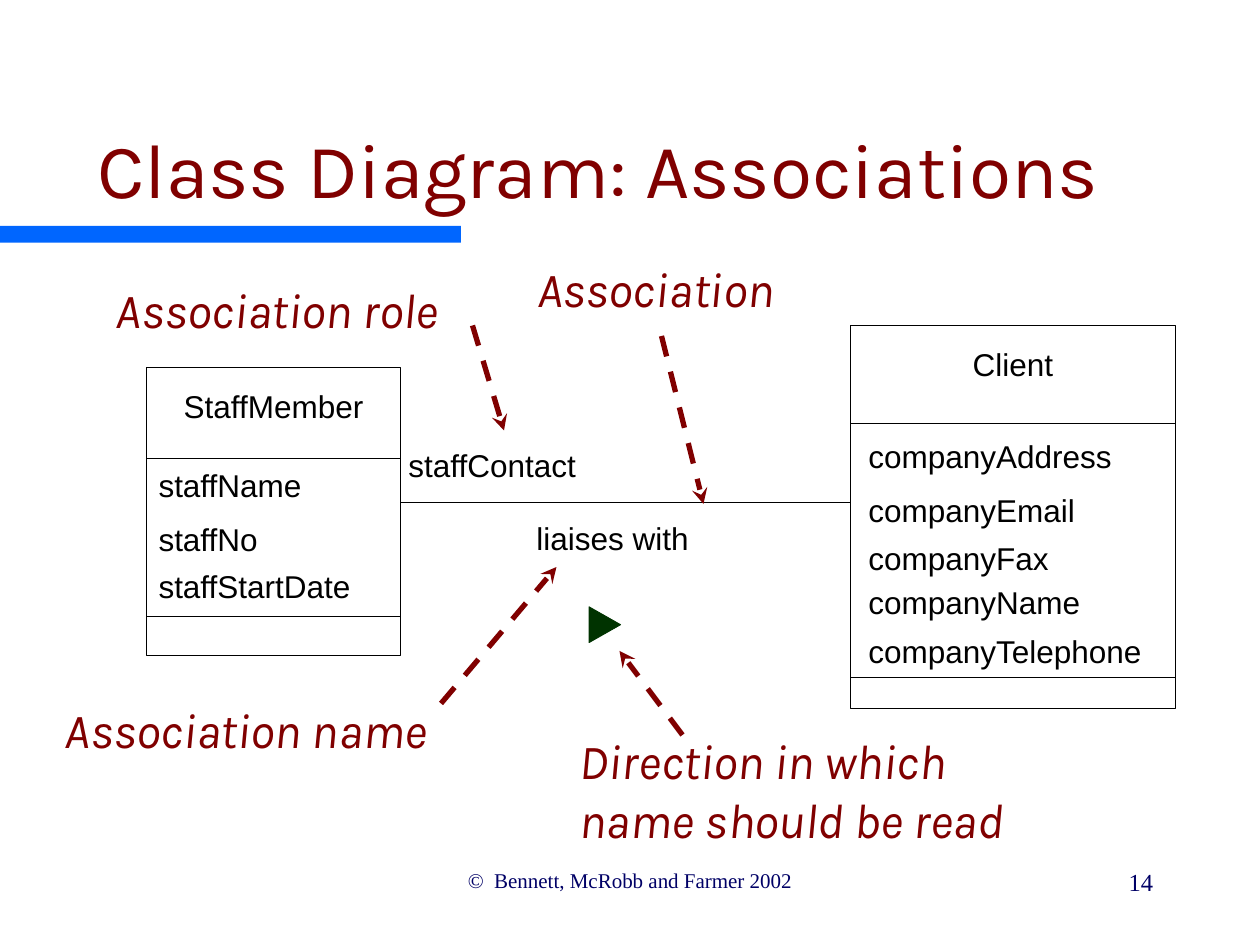
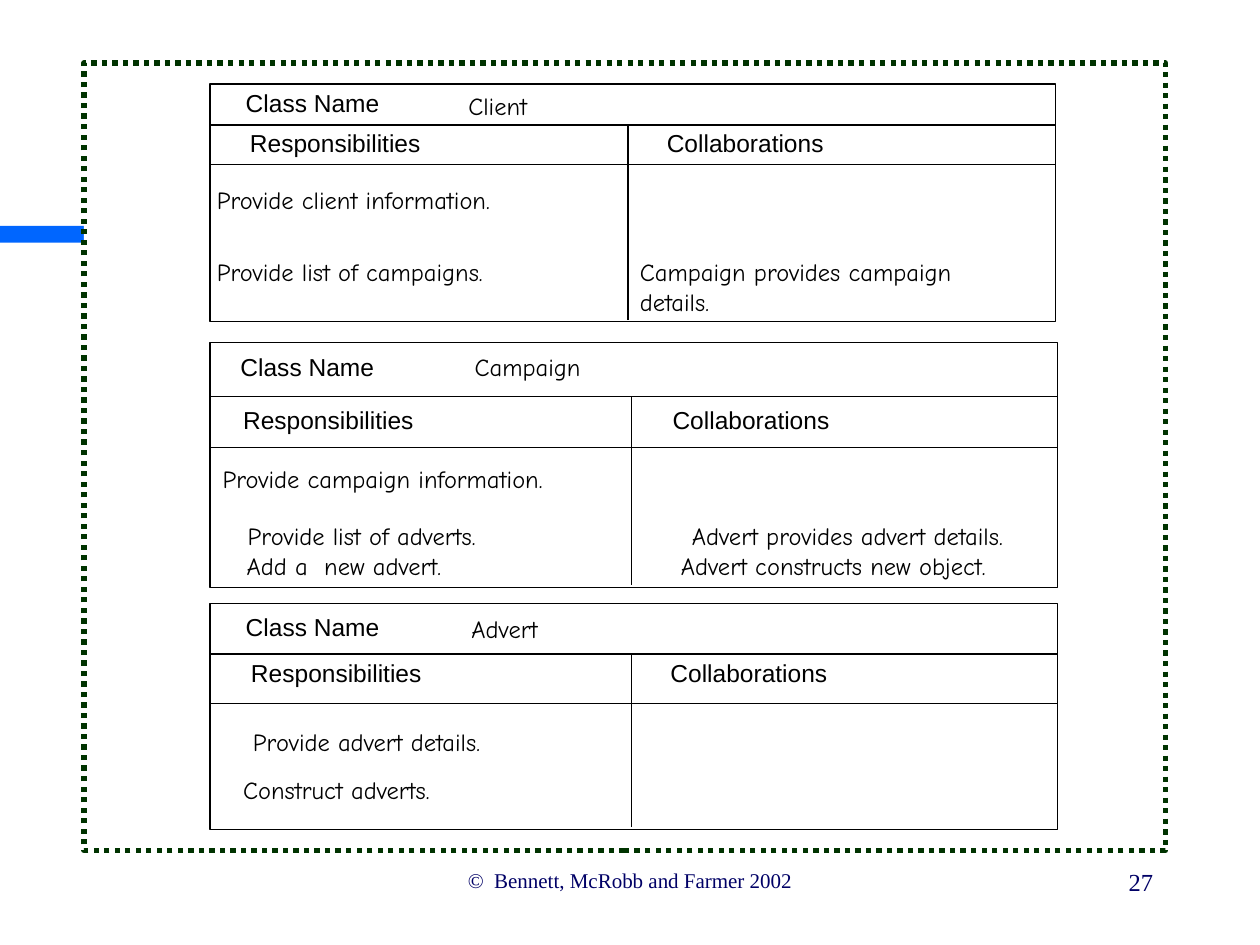
from lxml.etree import SubElement as Sub
from pptx import Presentation as Deck
from pptx.dml.color import RGBColor as Rgb
from pptx.enum.dml import MSO_LINE as Dash
from pptx.enum.shapes import MSO_CONNECTOR as Link, MSO_SHAPE as Form
from pptx.enum.text import MSO_ANCHOR as Hold, PP_ALIGN as Side
from pptx.oxml.ns import qn
from pptx.util import Inches, Pt

WIDE, HIGH = Inches(10), Inches(7.5)
COLS, ROWS = 120, 90
HUES = {"band": "0066FF", "foot": "000066", "title": "800000",
        "ink": "000000", "green": "003300", "paper": "FFFFFF"}
FONTS = {"title": "Karla", "foot": "Times New Roman", "plain": "Arial", "hand": "Comic Neue"}
STEPS = (0, 5.15, 9.65, 13.9, 18.5)


def across(col):
    """Turn grid columns into a length."""
    return int(WIDE * col / COLS)


def down(row):
    """Turn grid rows into a length."""
    return int(HIGH * row / ROWS)


def place(box):
    """Turn a grid box into lengths."""
    left, top, width, height = box
    return across(left), down(top), across(width), down(height)


def hue(key):
    """Look up a colour."""
    return Rgb.from_string(HUES[key])


def write(slide, box, words, size, font="plain", tint="ink",
          side=Side.LEFT, pad=(0, 0), slant=False, hold=Hold.TOP):
    """Put one run of text in a box."""
    frame = slide.shapes.add_textbox(*place(box)).text_frame
    frame.word_wrap = True
    frame.vertical_anchor = hold
    frame.margin_left = frame.margin_right = Inches(pad[0])
    frame.margin_top = frame.margin_bottom = Inches(pad[1])
    par = frame.paragraphs[0]
    par.alignment = side
    run = par.add_run()
    run.text = words
    run.font.size, run.font.name = Pt(size), FONTS[font]
    run.font.italic = slant
    run.font.color.rgb = hue(tint)


def draw(slide, form, box, fill=None, edge=None, weight=0.75):
    """Draw a preset shape."""
    shape = slide.shapes.add_shape(form, *place(box))
    shape.shadow.inherit = False
    if fill:
        shape.fill.solid()
        shape.fill.fore_color.rgb = hue(fill)
    else:
        shape.fill.background()
    if edge:
        shape.line.color.rgb = hue(edge)
        shape.line.width = Pt(weight)
    else:
        shape.line.fill.background()
    return shape


def rule(slide, start, end, weight=0.75, tint="ink"):
    """Draw a straight line."""
    line = slide.shapes.add_connector(
        Link.STRAIGHT, across(start[0]), down(start[1]), across(end[0]), down(end[1]))
    line.line.color.rgb = hue(tint)
    line.line.width = Pt(weight)
    Sub(line._element.spPr, qn("a:effectLst"))
    return line


def arrow(slide, start, end):
    """Draw a dashed pointer."""
    line = rule(slide, start, end, 3, "title").line
    line.dash_style = Dash.DASH
    Sub(line._get_or_add_ln(), qn("a:tailEnd"), type="stealth")


def base(deck, page):
    """Add a slide with its band and footers."""
    slide = deck.slides.add_slide(deck.slide_layouts[6])
    draw(slide, Form.RECTANGLE, (0, 21.5, 43.9, 1.6), "band")
    write(slide, (31, 82, 58, 6), "©  Bennett, McRobb and Farmer 2002", 12,
          "foot", "foot", Side.CENTER, (0.1, 0.05))
    write(slide, (86, 82, 25, 6), str(page), 14, "foot", "foot", Side.RIGHT, (0.1, 0.05))
    return slide


def entity(slide, box, name, fields, head, cuts, first, pad):
    """Draw a class with its name and fields."""
    left, top, width, height = box
    draw(slide, Form.RECTANGLE, box, edge="ink", weight=0.37)
    write(slide, (left, top + head, width, 3.6), name, 18, side=Side.CENTER)
    for cut in cuts:
        rule(slide, (left, top + cut), (left + width, top + cut), 0.37)
    for field, step in zip(fields, STEPS):
        write(slide, (left + pad, top + first + step, width - pad, 3.6), field, 18)


def diagram(deck):
    """Build the class diagram slide."""
    slide = base(deck, 14)
    write(slide, (3, 6, 108, 15), "Class Diagram: Associations", 44, "title", "title",
          Side.CENTER, (0.1, 0.05), hold=Hold.BOTTOM)
    entity(slide, (13.95, 35, 24.2, 27.4), "StaffMember",
           ("staffName", "staffNo", "staffStartDate"), 1.85, (8.68, 23.7), 9.4, 1.15)
    entity(slide, (81, 31, 30.95, 36.5), "Client",
           ("companyAddress", "companyEmail", "companyFax", "companyName", "companyTelephone"),
           1.9, (9.35, 33.55), 10.65, 1.7)
    rule(slide, (38.15, 47.8), (81, 47.8), 0.37)
    write(slide, (51.1, 49.45, 18, 3.6), "liaises with", 18)
    write(slide, (38.9, 42.5, 20, 3.6), "staffContact", 18)
    draw(slide, Form.ISOSCELES_TRIANGLE, (55.9, 58, 3.4, 3), "green", "green", 0.5).rotation = 90
    notes = (
        ("Association role", (9.85, 26, 36, 6.8), (45, 31), (48, 41)),
        ("Association", (50, 24, 30, 6.8), (63, 32), (67, 48)),
        ("Association name", (5, 66, 45, 6.8), (42, 67), (53, 54)),
        ("Direction in which name should be read", (54, 69, 46, 18), (65, 70), (59, 62)),
    )
    for words, box, start, end in notes:
        write(slide, box, words, 28, "title", "title", pad=(0.1, 0.05), slant=True)
        arrow(slide, start, end)


def card(slide, box, name, cuts, mid, cols, tops, notes):
    """Draw a card of duties and partners."""
    left, top, width, height = box
    right = left + width
    draw(slide, Form.RECTANGLE, box, edge="ink")
    for cut in cuts:
        rule(slide, (left, top + cut), (right, top + cut))
    rule(slide, (left + mid, top + cuts[0]), (left + mid, top + height - 0.2))
    heads = (("Class Name", "plain"), (name, "hand"),
             ("Responsibilities", "plain"), ("Collaborations", "plain"))
    for (words, font), col, row in zip(heads, cols, (*tops, tops[-1])):
        write(slide, (left + col, top + row, 20, 2.8), words, 14, font)
    for words, col, row in notes:
        write(slide, (left + col, top + row, 36, 2.8), words, 14, "hand")


def cards(deck):
    """Build the slide of three cards."""
    slide = base(deck, 27)
    frame = draw(slide, Form.RECTANGLE, (8, 6, 103, 75), "paper", "green", 3)
    frame.line.dash_style = Dash.ROUND_DOT
    card(slide, (20, 8, 80.55, 22.65), "Client", (3.9, 7.7), 39.8,
         (3.4, 24.6, 3.8, 43.5), (0.4, 0.65, 4.15),
         (("Provide client information.", 0.65, 9.65),
          ("Provide list of campaigns.", 0.65, 16.5),
          ("Campaign provides campaign details.", 40.95, 16.5)))
    card(slide, (20, 32.65, 80.7, 23.3), "Campaign", (5.1, 9.95), 40.15,
         (2.9, 25.2, 3.15, 44.05), (0.85, 0.85, 5.9),
         (("Provide campaign information.", 1.2, 11.5),
          ("Provide list of adverts.", 3.6, 16.95),
          ("Add a  new advert.", 3.5, 19.8),
          ("Advert provides advert details.", 45.9, 16.95),
          ("Advert constructs new object.", 44.85, 19.8)))
    card(slide, (20, 57.45, 80.7, 21.55), "Advert", (4.85, 9.55), 40.15,
         (3.4, 24.9, 3.9, 43.85), (0.85, 1, 5.2),
         (("Provide advert details.", 4.1, 11.8),
          ("Construct adverts.", 3.15, 16.35)))


def main():
    """Build and save the deck."""
    deck = Deck()
    deck.slide_width, deck.slide_height = WIDE, HIGH
    diagram(deck)
    cards(deck)
    deck.save("out.pptx")


if __name__ == "__main__":
    main()
